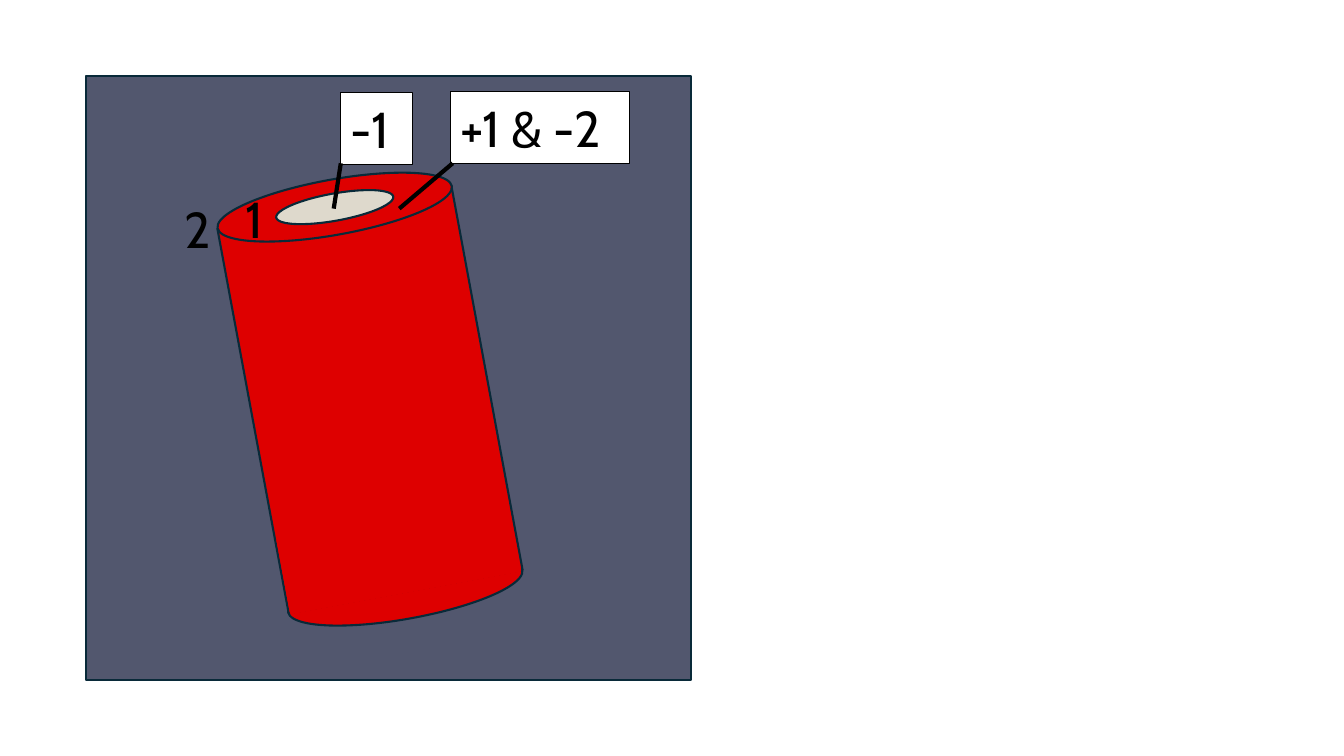
"""Draw a tilted red cylinder with labelled regions on its top face."""
from lxml import etree
from pptx import Presentation
from pptx.dml.color import RGBColor
from pptx.enum.shapes import MSO_CONNECTOR, MSO_SHAPE
from pptx.enum.text import MSO_ANCHOR, MSO_AUTO_SIZE, PP_ALIGN
from pptx.oxml.ns import qn
from pptx.util import Inches, Pt

SLATE = RGBColor(0x52, 0x57, 0x6E)
NAVY = RGBColor(0x09, 0x2A, 0x39)
RED = RGBColor(0xDE, 0x00, 0x00)
STONE = RGBColor(0xDE, 0xD9, 0xCC)
WHITE = RGBColor(0xFF, 0xFF, 0xFF)
BLACK = RGBColor(0x00, 0x00, 0x00)

DISC_TILT = 349.8
BODY_TILT = 349.5
LABEL_HEIGHT = 0.71


class Diagram:
    """Hold the type style and the slide being drawn."""

    def __init__(self, slide, font="Cabin", size=36):
        self.shapes = slide.shapes
        self.font = font
        self.size = Pt(size)

    def solid(self, kind, box, fill, outline=NAVY, tilt=0, width=1.5):
        solid = self.shapes.add_shape(kind, *map(Inches, box))
        solid.shadow.inherit = False
        solid.rotation = tilt
        solid.fill.solid()
        solid.fill.fore_color.rgb = fill
        solid.line.color.rgb = outline
        solid.line.width = Pt(width)
        return solid

    def disc(self, box, fill):
        return self.solid(MSO_SHAPE.OVAL, box, fill, tilt=DISC_TILT)

    def label(self, frame, words):
        frame.word_wrap = True
        frame.auto_size = MSO_AUTO_SIZE.SHAPE_TO_FIT_TEXT
        frame.vertical_anchor = MSO_ANCHOR.TOP
        paragraph = frame.paragraphs[0]
        paragraph.alignment = PP_ALIGN.LEFT
        run = paragraph.add_run()
        run.text = words
        run.font.name = self.font
        run.font.size = self.size
        run.font.color.rgb = BLACK

    def number(self, left, top, words):
        box = map(Inches, (left, top, 0.55, LABEL_HEIGHT))
        self.label(self.shapes.add_textbox(*box).text_frame, words)

    def callout(self, left, top, width, words):
        box = (left, top, width, LABEL_HEIGHT)
        callout = self.solid(MSO_SHAPE.RECTANGLE, box, WHITE, BLACK, width=0.75)
        self.label(callout.text_frame, words)

    def pointer(self, start, end):
        pointer = self.shapes.add_connector(
            MSO_CONNECTOR.STRAIGHT, *map(Inches, start + end))
        pointer.line.color.rgb = BLACK
        pointer.line.width = Pt(3)
        etree.SubElement(pointer._element.spPr, qn("a:effectLst"))


def main():
    deck = Presentation()
    deck.slide_width, deck.slide_height = Inches(13.33), Inches(7.5)
    diagram = Diagram(deck.slides.add_slide(deck.slide_layouts[6]))

    diagram.solid(MSO_SHAPE.RECTANGLE, (0.85, 0.75, 6, 6), SLATE)
    diagram.disc((2.84, 5.59, 2.36, 0.55), RED)
    diagram.solid(MSO_SHAPE.RECTANGLE, (2.49, 2.02, 2.36, 3.88), RED, tilt=BODY_TILT)
    diagram.disc((2.14, 1.78, 2.36, 0.55), RED)
    diagram.disc((2.73, 1.92, 1.18, 0.27), STONE)
    diagram.solid(MSO_SHAPE.RECTANGLE, (2.8, 5.14, 2.31, 0.74), RED, RED, BODY_TILT)

    diagram.number(2.34, 1.82, "1")
    diagram.number(1.73, 1.92, "2")
    diagram.callout(3.38, 0.92, 0.71, "-1")
    diagram.callout(4.47, 0.91, 1.77, "+1 & -2")
    diagram.pointer((3.31, 2.07), (3.38, 1.62))
    diagram.pointer((3.96, 2.07), (4.49, 1.62))
    deck.save("out.pptx")


if __name__ == "__main__":
    main()
